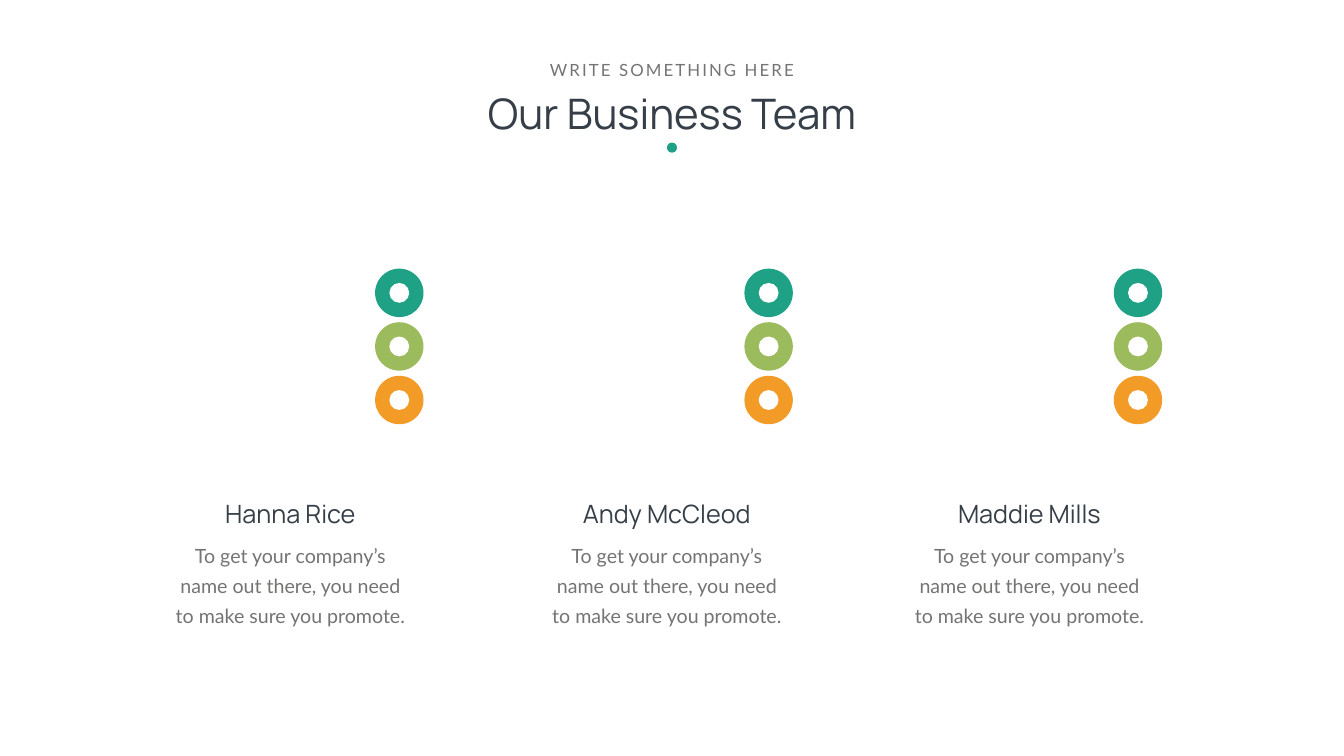
"""Build the "Our Business Team" slide with three members and their badges."""
from dataclasses import dataclass

import pptx
import pptx.dml.color
import pptx.enum.shapes
import pptx.enum.text
import pptx.util
from pptx.util import Cm

COLORS = {
    "title": "363E48",
    "body": "737572",
    "teal": "1EA185",
    "green": "9BBB5C",
    "orange": "F29B26",
    "white": "FFFFFF",
}
BADGE_COLORS = ("teal", "green", "orange")
BADGE_SIZE, BADGE_LEFT, BADGE_TOP = 2.44, 18.9, 13.54
COLUMN_STEP, BADGE_STEP = 18.61, 2.7
MARK_SIZE = 1.0
BIO = "To get your company’s name out there, you need to make sure you promote."


@dataclass(frozen=True)
class Member:
    """A team member and the centre line of the member's text."""

    name: str
    center: float
    name_width: float


MEMBERS = (
    Member("Hanna Rice", 14.63, 7.87),
    Member("Andy McCleod", 33.6, 9.91),
    Member("Maddie Mills", 51.87, 8.53),
)


def rgb(color: str) -> pptx.dml.color.RGBColor:
    """Return the named colour."""
    return pptx.dml.color.RGBColor.from_string(COLORS[color])


def add_text(slide, text: str, *, center: float, top: float, width: float,
             height: float, size: float, font: str, color: str,
             wrap: bool = True, margins: tuple[float, float] = (0.25, 0.13),
             line_spacing: float | None = None,
             letter_spacing: float = 0) -> None:
    """Add one centred paragraph in a text box."""
    box = slide.shapes.add_textbox(
        Cm(center - width / 2), Cm(top), Cm(width), Cm(height))
    frame = box.text_frame
    frame.word_wrap = wrap
    frame.auto_size = pptx.enum.text.MSO_AUTO_SIZE.SHAPE_TO_FIT_TEXT
    frame.margin_left = frame.margin_right = Cm(margins[0])
    frame.margin_top = frame.margin_bottom = Cm(margins[1])
    paragraph = frame.paragraphs[0]
    paragraph.alignment = pptx.enum.text.PP_ALIGN.CENTER
    if line_spacing:
        paragraph.line_spacing = pptx.util.Pt(line_spacing)
    run = paragraph.add_run()
    run.text = text
    run.font.name = font
    run.font.size = pptx.util.Pt(size)
    run.font.color.rgb = rgb(color)
    if letter_spacing:
        run._r.get_or_add_rPr().set("spc", str(round(letter_spacing * 100)))


def add_circle(slide, center_x: float, center_y: float, size: float,
               color: str) -> None:
    """Add a filled circle around a centre point."""
    circle = slide.shapes.add_shape(
        pptx.enum.shapes.MSO_SHAPE.OVAL, Cm(center_x - size / 2),
        Cm(center_y - size / 2), Cm(size), Cm(size))
    circle.shadow.inherit = False
    circle.fill.solid()
    circle.fill.fore_color.rgb = rgb(color)
    circle.line.fill.background()


def add_heading(slide) -> None:
    """Add the title, the line above it and the dot below it."""
    add_text(slide, "Our Business Team", center=33.86, top=4.27, width=40.79,
             height=2.82, size=60, font="Manrope", color="title")
    add_text(slide, "WRITE SOMETHING HERE", center=33.86, top=2.87,
             width=13.06, height=1.27, size=24, font="Lato", color="body",
             wrap=False, letter_spacing=3)
    add_circle(slide, 33.86, 7.44, 0.51, "teal")


def add_badges(slide, column: int) -> None:
    """Add the column of badges, each with a plain mark."""
    center_x = BADGE_LEFT + column * COLUMN_STEP + BADGE_SIZE / 2
    for row, color in enumerate(BADGE_COLORS):
        center_y = BADGE_TOP + row * BADGE_STEP + BADGE_SIZE / 2
        add_circle(slide, center_x, center_y, BADGE_SIZE, color)
        add_circle(slide, center_x, center_y, MARK_SIZE, "white")


def add_member(slide, member: Member) -> None:
    """Add a member's name and description."""
    add_text(slide, member.name, center=member.center, top=24.97,
             width=member.name_width, height=1.8, size=36, font="Manrope",
             color="title", wrap=False)
    add_text(slide, BIO, center=member.center, top=26.77, width=13.41,
             height=5.05, size=28, font="Lato", color="body",
             margins=(0.61, 0.3), line_spacing=43)


def main() -> None:
    """Build and save the presentation."""
    presentation = pptx.Presentation()
    presentation.slide_width = Cm(67.72)
    presentation.slide_height = Cm(38.1)
    slide = presentation.slides.add_slide(presentation.slide_layouts[6])
    slide.background.fill.solid()
    slide.background.fill.fore_color.rgb = rgb("white")
    add_heading(slide)
    for column, member in enumerate(MEMBERS):
        add_badges(slide, column)
        add_member(slide, member)
    presentation.save("out.pptx")


if __name__ == "__main__":
    main()
